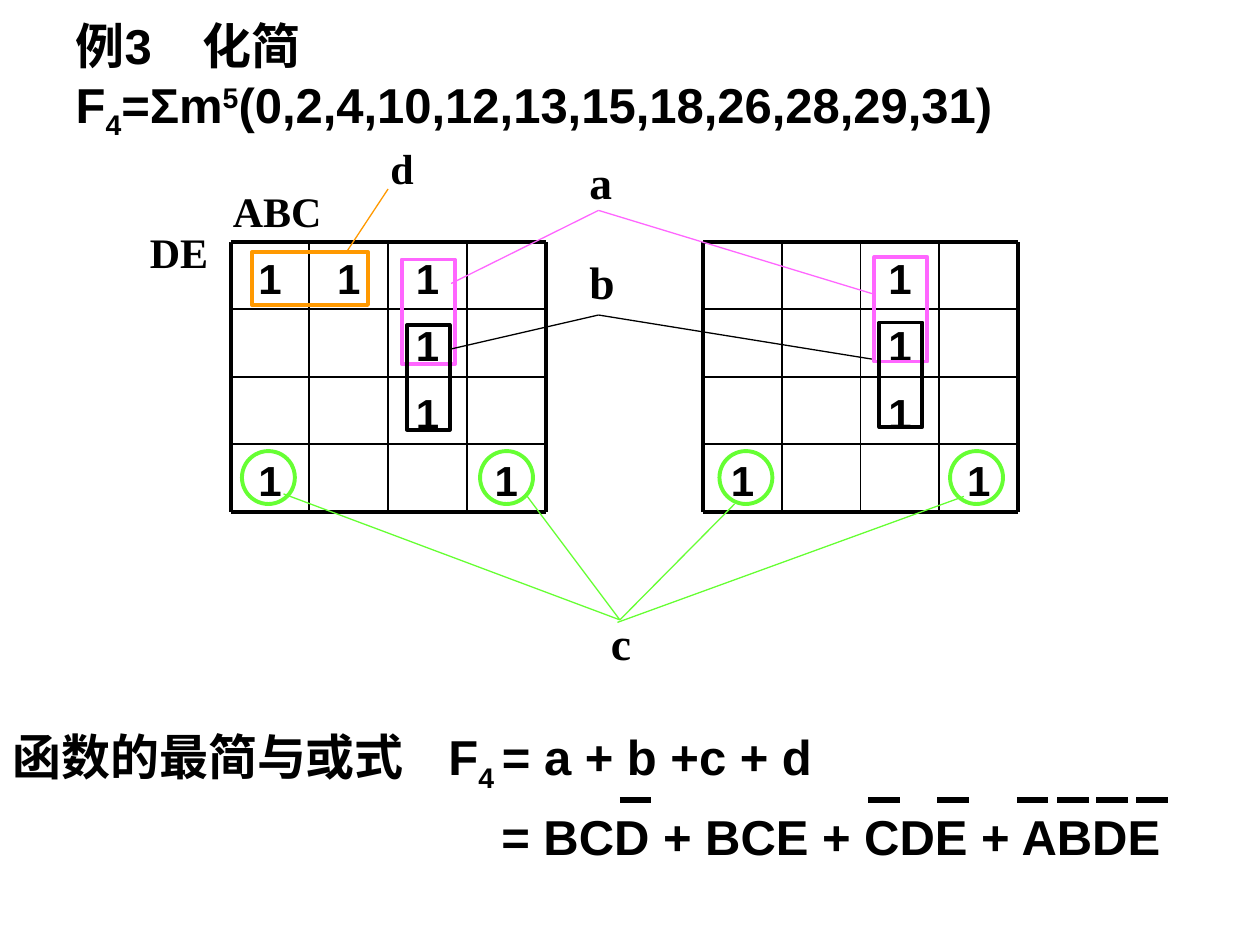
from lxml import etree
from pptx import Presentation
from pptx import util as u
from pptx.dml import color as c
from pptx.enum import shapes, text
from pptx.oxml import ns

BLACK, WHITE, PINK, ORANGE, GREEN = "000000", "FFFFFF", "FF66FF", "FF9900", "66FF33"
FORMULA = {"name": "Arial", "size": u.Pt(28), "bold": True}
CELL = {"name": "Arial", "size": u.Pt(24), "bold": True}
AXIS = {"name": "Times New Roman", "size": u.Pt(24), "bold": True}
LABEL = {"name": "Times New Roman", "size": u.Pt(26), "bold": True}
SUBSCRIPT, SUPERSCRIPT = -25, 30
MAP_STEP = 3.75


def rgb(value):
    return c.RGBColor.from_string(value)


def inches(values):
    return [u.Inches(value) for value in values]


def within(box, left, top, width, height):
    return box[0] + left, box[1] + top, width, height


def write(paragraph, content, formats, baseline=0):
    run = paragraph.add_run()
    run.text = content
    for name, value in formats.items():
        setattr(run.font, name, value)
    run.font.color.rgb = rgb(BLACK)
    if baseline:
        run._r.get_or_add_rPr().set("baseline", str(baseline * 1000))


def add_tab(paragraph, position):
    tabs = etree.SubElement(paragraph._p.get_or_add_pPr(), ns.qn("a:tabLst"))
    etree.SubElement(tabs, ns.qn("a:tab"), pos=str(u.Inches(position)), algn="l")


def add_label(slide, box, content, formats, alignment=text.PP_ALIGN.LEFT):
    frame = slide.shapes.add_textbox(*inches(box)).text_frame
    frame.word_wrap = True
    frame.paragraphs[0].alignment = alignment
    write(frame.paragraphs[0], content, formats)


def add_line(slide, start, end, color, width=0.75):
    line = slide.shapes.add_connector(
        shapes.MSO_CONNECTOR.STRAIGHT, *inches(start + end))
    line.line.color.rgb = rgb(color)
    line.line.width = u.Pt(width)
    etree.SubElement(line._element.spPr, ns.qn("a:effectLst"))


def add_loop(slide, box, color, kind):
    shape = slide.shapes.add_shape(kind, *inches(box))
    shape.shadow.inherit = False
    shape.fill.background()
    shape.line.color.rgb = rgb(color)
    shape.line.width = u.Pt(2.25)


def add_title(slide, box):
    title = slide.shapes.title
    title.left, title.top, title.width, title.height = inches(box)
    frame = title.text_frame
    frame.auto_size = text.MSO_AUTO_SIZE.NONE
    frame.vertical_anchor = text.MSO_ANCHOR.MIDDLE
    paragraph = frame.paragraphs[0]
    paragraph.alignment = text.PP_ALIGN.LEFT
    add_tab(paragraph, 1.01)
    write(paragraph, "例3\t化简", FORMULA)
    paragraph.add_line_break()
    for content, baseline in (("F", 0), ("4", SUBSCRIPT), ("=Σm", 0), ("5", SUPERSCRIPT),
                              ("(0,2,4,10,12,13,15,18,26,28,29,31)", 0)):
        write(paragraph, content, FORMULA, baseline)


def add_cell(slide, box, mark):
    cell = slide.shapes.add_shape(shapes.MSO_SHAPE.RECTANGLE, *inches(box))
    cell.shadow.inherit = False
    cell.fill.solid()
    cell.fill.fore_color.rgb = rgb(WHITE)
    cell.line.fill.background()
    if mark == "1":
        frame = cell.text_frame
        frame.margin_top = u.Inches(0.08)
        frame.vertical_anchor = text.MSO_ANCHOR.MIDDLE
        frame.paragraphs[0].alignment = text.PP_ALIGN.CENTER
        write(frame.paragraphs[0], mark, CELL)


def add_map(slide, box, rows):
    left, top, width, height = box
    size = len(rows)
    cell_width, cell_height = width / size, height / size
    for row, marks in enumerate(rows):
        for column, mark in enumerate(marks):
            add_cell(slide, within(box, column * cell_width, row * cell_height,
                                   cell_width, cell_height), mark)
    for index in range(size + 1):
        weight = 2.25 if index in (0, size) else 1
        x, y = left + index * cell_width, top + index * cell_height
        add_line(slide, (left, y), (left + width, y), BLACK, weight)
        add_line(slide, (x, top), (x, top + height), BLACK, weight)


def add_axes(slide, box):
    left, top = box[:2]
    add_line(slide, (left, top), (left - 0.5, top - 0.42), WHITE)
    add_label(slide, within(box, -0.08, -0.5, 1.08, 0.5), "ABC", AXIS)
    add_label(slide, within(box, -0.91, -0.17, 0.83, 0.5), "DE", AXIS, text.PP_ALIGN.RIGHT)


def add_groups(slide, box):
    rectangle, oval = shapes.MSO_SHAPE.RECTANGLE, shapes.MSO_SHAPE.OVAL
    hub_a, hub_b, hub_c, hub_d = (2.92, -0.25), (2.92, 0.58), (3.09, 3), (1.25, -0.42)
    groups = [
        ("a", PINK, rectangle, LABEL, (2.75, -0.75, 0.42, 0.54),
         [(1.36, 0.14, 0.42, 0.83), (1.36 + MAP_STEP, 0.12, 0.42, 0.83)],
         [((1.75, 0.33), hub_a), (hub_a, (5.09, 0.41))]),
        ("b", BLACK, rectangle, LABEL, (2.75, 0.05, 0.42, 0.54),
         [(1.4, 0.66, 0.34, 0.83), (1.4 + MAP_STEP, 0.64, 0.34, 0.83)],
         [((1.75, 0.85), hub_b), (hub_b, (5.09, 0.93))]),
        ("d", ORANGE, rectangle, AXIS, (1.17, -0.84, 0.5, 0.5),
         [(0.17, 0.08, 0.92, 0.42)], [((0.92, 0.08), hub_d)]),
        ("c", GREEN, oval, LABEL, (2.92, 2.91, 0.67, 0.54),
         [(left, 1.66, 0.42, 0.42) for left in (0.09, 1.98, 3.88, 5.71)],
         [((0.42, 2), hub_c), ((2.34, 2), hub_c), ((4, 2.08), hub_c),
          ((5.82, 2.02), (3.07, 3.02))]),
    ]
    for name, color, kind, formats, label, loops, leaders in groups:
        for loop in loops:
            add_loop(slide, within(box, *loop), color, kind)
        for leader in leaders:
            start, end = [(box[0] + x, box[1] + y) for x, y in leader]
            add_line(slide, start, end, color)
        add_label(slide, within(box, *label), name, formats)


def add_result(slide, box):
    frame = slide.shapes.add_textbox(*inches(box)).text_frame
    frame.word_wrap = True
    first, second = frame.paragraphs[0], frame.add_paragraph()
    add_tab(first, 3.46)
    for content, baseline in (("函数的最简与或式\tF", 0), ("4 ", SUBSCRIPT),
                              ("= a + b +c + d", 0)):
        write(first, content, FORMULA, baseline)
    second._p.get_or_add_pPr().set("marL", str(u.Inches(3.88)))
    second.space_before = u.Pt(7)
    write(second, "= BCD + BCE + CDE + ABDE", FORMULA)
    for left in (4.92, 6.89, 7.44, 8.07, 8.39, 8.7, 9.02):
        x, y = box[0] + left, box[1] + 0.63
        add_line(slide, (x, y), (x + 0.25, y), BLACK, 3)


def main():
    presentation = Presentation()
    presentation.slide_width, presentation.slide_height = inches((10, 7.5))
    slide = presentation.slides.add_slide(presentation.slide_layouts[5])
    add_title(slide, (0.5, 0.16, 8.67, 0.92))
    map_box = (1.83, 1.92, 2.5, 2.14)
    add_map(slide, map_box, ("111 ", "  1 ", "  1 ", "1  1"))
    add_axes(slide, map_box)
    add_map(slide, within(map_box, MAP_STEP, 0, *map_box[2:]),
            ("  1 ", "  1 ", "  1 ", "1  1"))
    add_groups(slide, map_box)
    add_result(slide, (0, 5.72, 9.58, 1.5))
    presentation.save("out.pptx")


if __name__ == "__main__":
    main()
